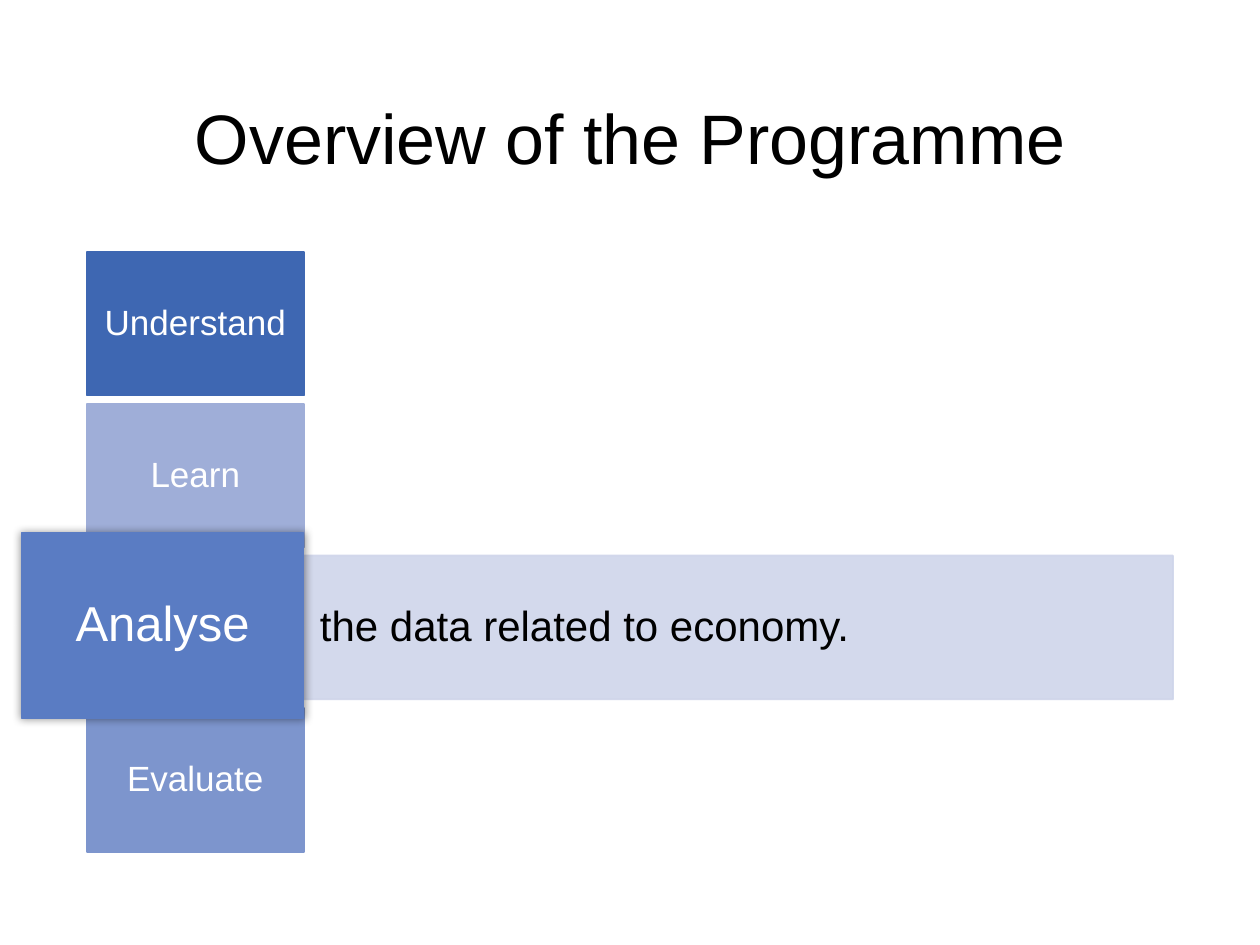
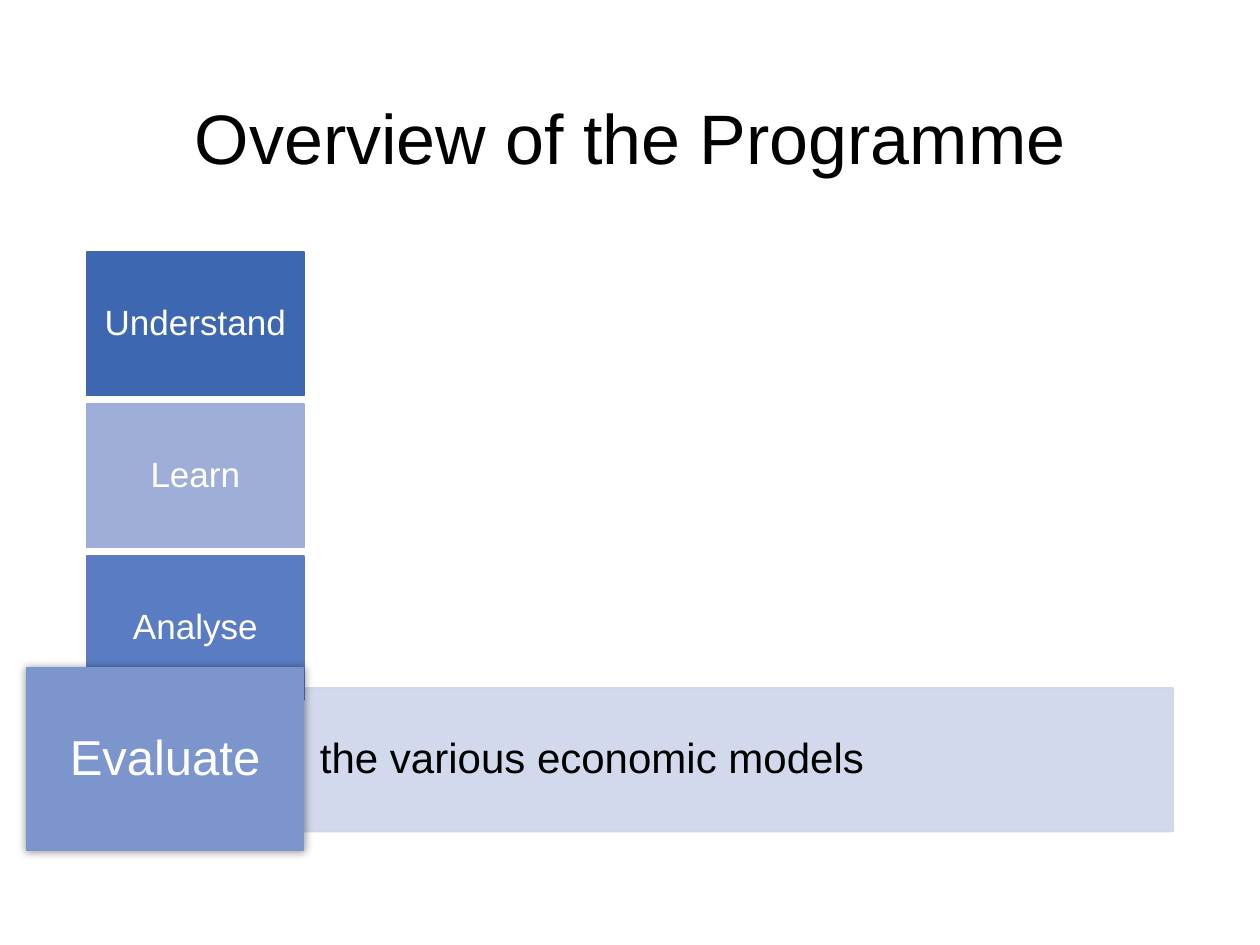
import pptx
import pptx.util
import pptx.dml.color
import pptx.enum.shapes
import pptx.enum.text
import pptx.oxml.ns
import lxml.etree

Inches = pptx.util.Inches
Pt = pptx.util.Pt
ALIGN = pptx.enum.text.PP_ALIGN

COLORS = {
    "Understand": "3E67B2",
    "Learn": "9FAED8",
    "Analyse": "5A7CC3",
    "Evaluate": "7D95CD",
    "band": "CFD5EA",
    "black": "000000",
    "white": "FFFFFF",
}
STEPS = ["Understand", "Learn", "Analyse", "Evaluate"]
TITLE = "Overview of the Programme"
LEFT, RIGHT, TAB_RIGHT = 0.69, 9.31, 2.41
TOP, BOTTOM, HEIGHT = 2, 6.76, 1.14
PITCH = (BOTTOM - TOP - HEIGHT) / (len(STEPS) - 1)


class Deck:
    font = "Arial"

    def __init__(self):
        self.prs = pptx.Presentation()
        self.prs.slide_width = Inches(10)
        self.prs.slide_height = Inches(7.5)
        self.s = None

    def add_slide(self):
        self.s = self.prs.slides.add_slide(self.prs.slide_layouts[6])

    def rgb(self, name):
        return pptx.dml.color.RGBColor.from_string(COLORS[name])

    def add_child(self, parent, tag, **attrs):
        return lxml.etree.SubElement(parent, pptx.oxml.ns.qn(tag), attrs)

    def add_text(self, sp, text, size, color, align, inset, after=0):
        tf = sp.text_frame
        tf.word_wrap = True
        tf.vertical_anchor = pptx.enum.text.MSO_ANCHOR.MIDDLE
        tf.margin_left = tf.margin_right = Inches(inset[0])
        tf.margin_top = tf.margin_bottom = Inches(inset[1])
        p = tf.paragraphs[0]
        p.alignment = align
        p.line_spacing = 0.9
        p.space_after = Pt(after)
        r = p.add_run()
        r.text = text
        r.font.name = self.font
        r.font.size = Pt(size)
        r.font.color.rgb = self.rgb(color)

    def title(self, text):
        sp = self.s.shapes.add_textbox(Inches(LEFT), Inches(0.4), Inches(RIGHT - LEFT), Inches(1.45))
        self.add_text(sp, text, 40, "black", ALIGN.CENTER, (0.1, 0.05))

    def box(self, left, top, right, height, color):
        sp = self.s.shapes.add_shape(
            pptx.enum.shapes.MSO_SHAPE.RECTANGLE,
            Inches(left), Inches(top), Inches(right - left), Inches(height))
        sp.shadow.inherit = False
        sp.fill.solid()
        sp.fill.fore_color.rgb = self.rgb(color)
        sp.line.color.rgb = self.rgb(color)
        sp.line.width = Pt(1)
        return sp

    def tab(self, step):
        top = TOP + STEPS.index(step) * PITCH
        sp = self.box(LEFT, top, TAB_RIGHT, HEIGHT, step)
        self.add_text(sp, step, 20, "white", ALIGN.CENTER, (0.09, 0.11), 7)

    def active_tab(self, step, left, top, height):
        sp = self.box(left, top, TAB_RIGHT, height, step)
        effects = sp._element.spPr.find(pptx.oxml.ns.qn("a:effectLst"))
        shadow = self.add_child(effects, "a:outerShdw", blurRad=str(Pt(5)), dist="0", dir="0",
                                algn="ctr", rotWithShape="0")
        color = self.add_child(shadow, "a:srgbClr", val=COLORS["black"])
        self.add_child(color, "a:alpha", val="40000")
        self.add_text(sp, step, 28, "white", ALIGN.CENTER, (0.09, 0.11), 9.8)

    def band(self, top, text):
        sp = self.box(TAB_RIGHT, top, RIGHT, HEIGHT, "band")
        for color in sp._element.spPr.iter(pptx.oxml.ns.qn("a:srgbClr")):
            self.add_child(color, "a:alpha", val="90000")
        self.add_text(sp, text, 24, "black", ALIGN.LEFT, (0.13, 0.29), 8.4)

    def overview(self, active, text, left, top, height, band_top):
        self.add_slide()
        self.title(TITLE)
        self.band(band_top, text)
        for step in STEPS:
            if step != active:
                self.tab(step)
        self.active_tab(active, left, top, height)


def main():
    deck = Deck()
    deck.overview("Analyse", "the data related to economy.", 0.17, 4.23, 1.47, 4.41)
    deck.overview("Evaluate", "the various economic models", 0.21, 5.3, 1.45, 5.46)
    deck.prs.save("out.pptx")


if __name__ == "__main__":
    main()
